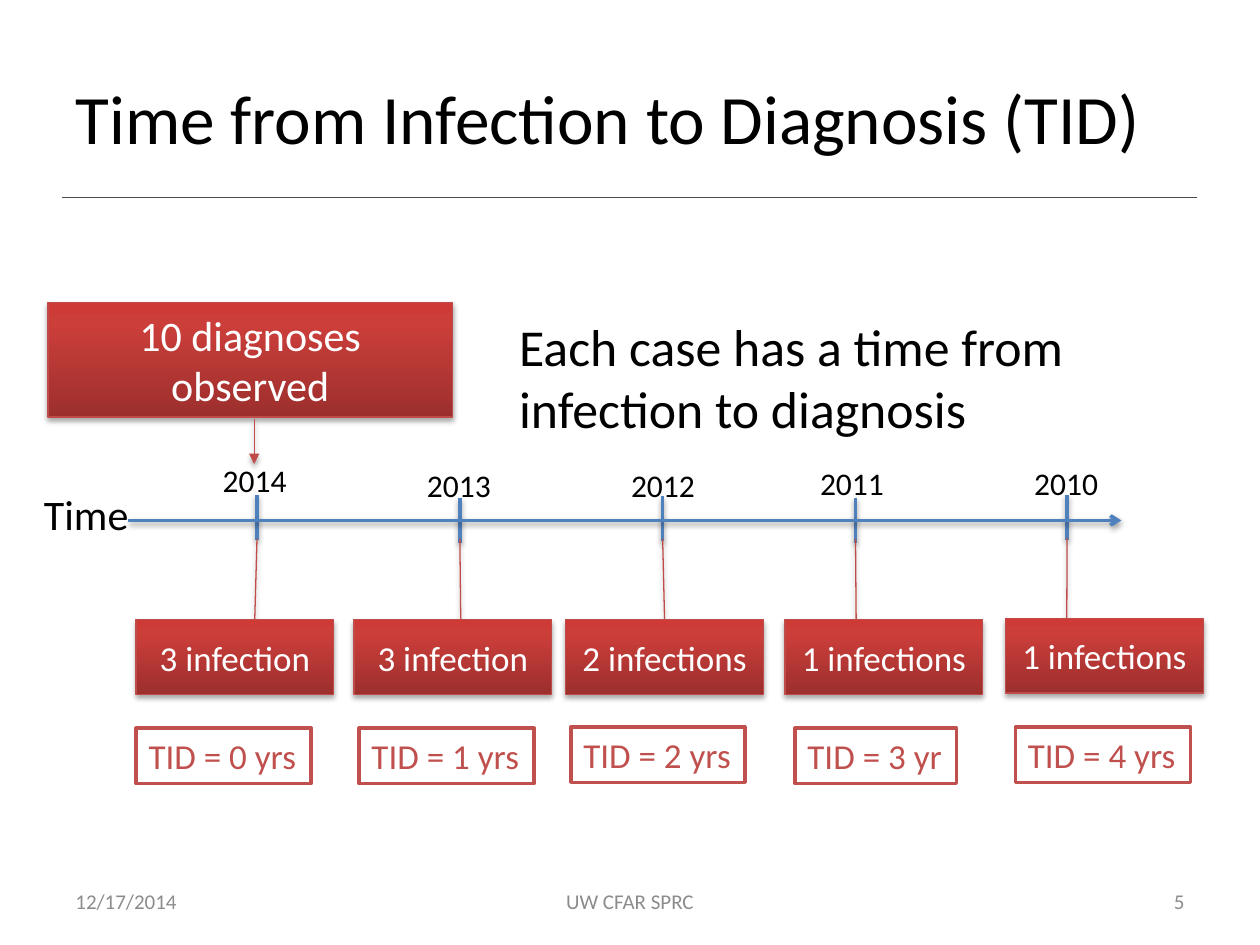
from collections import namedtuple
from copy import deepcopy

from lxml.etree import SubElement
from pptx import Presentation
from pptx.dml.color import RGBColor
from pptx.enum.shapes import MSO_CONNECTOR, MSO_SHAPE
from pptx.enum.text import MSO_ANCHOR, MSO_AUTO_SIZE, PP_ALIGN
from pptx.oxml.ns import qn
from pptx.util import Pt

FONT = "Calibri"
BLACK, WHITE, GREY = "000000", "FFFFFF", "8C8C8C"
BLUE, RED, RED_EDGE = "4F81BD", "C0504D", "BF4C48"
RED_GRADIENT = [(0, "9C2F2D"), (0.8, "CB3E3A"), (1, "CE3B37")]

Box = namedtuple("Box", "left top width height")
# Positions are offsets from the box of the region each part belongs to
Year = namedtuple("Year", "label label_left label_top tick_x tick_top "
                          "infections card_left card_top leader_start "
                          "tid tid_left tid_top tid_width")
YEARS = [
    Year("2014", 102.2, 0, 128.9, 23, "3 infection", 0, 0.7, 0.6,
         "TID = 0 yrs", 0, 0.7, 100),
    Year("2013", 218.9, 2.9, 244.8, 24.5, "3 infection", 124.5, 0.7, 0.54,
         "TID = 1 yrs", 127.4, 0.7, 100),
    Year("2012", 335.5, 2.9, 360.7, 23.7, "2 infections", 245.5, 0.7, 0.5,
         "TID = 2 yrs", 248.4, 0, 99.4),
    Year("2011", 443.5, 1.4, 470.9, 24.5, "1 infections", 370.8, 0.7, 0.36,
         "TID = 3 yr", 376.5, 0.7, 92.2),
    Year("2010", 565.9, 1.4, 591.8, 23, "1 infections", 496.8, 0, 0.31,
         "TID = 4 yrs", 502.5, 0, 100),
]


def color(hex_string):
    return RGBColor.from_string(hex_string)


def write(part, text, size, ink, align=PP_ALIGN.LEFT, anchor=MSO_ANCHOR.TOP, wrap=True):
    frame = part.text_frame
    frame.text = text
    frame.word_wrap = wrap
    frame.auto_size = MSO_AUTO_SIZE.NONE
    frame.vertical_anchor = anchor
    paragraph = frame.paragraphs[0]
    paragraph.alignment = align
    font = paragraph.runs[0].font
    font.name, font.size = FONT, Pt(size)
    font.color.rgb = color(ink)


def add_text(slide, box, text, size, ink, **layout):
    label = slide.shapes.add_textbox(*map(Pt, box))
    write(label, text, size, ink, **layout)


def add_shadow(part, opacity, distance):
    properties = part._element.spPr
    effects = properties.find(qn("a:effectLst"))
    if effects is None:
        effects = SubElement(properties, qn("a:effectLst"))
    shadow = SubElement(effects, qn("a:outerShdw"), blurRad=str(Pt(3.1)),
                        dist=str(Pt(distance)), dir="5400000", rotWithShape="0")
    black = SubElement(shadow, qn("a:srgbClr"), val=BLACK)
    SubElement(black, qn("a:alpha"), val=str(opacity * 1000))


def add_arrowhead(part, kind):
    SubElement(part.line._get_or_add_ln(), qn("a:tailEnd"), type=kind)


def add_line(slide, x1, y1, x2, y2, ink, width, head=None, shadow=True):
    line = slide.shapes.add_connector(MSO_CONNECTOR.STRAIGHT, *map(Pt, (x1, y1, x2, y2)))
    line.line.color.rgb = color(ink)
    line.line.width = Pt(width)
    if head:
        add_arrowhead(line, head)
    if shadow:
        add_shadow(line, 38, 1.6)
    else:
        SubElement(line._element.spPr, qn("a:effectLst"))


def add_callout(slide, box, text, size, leader, head=None):
    """Red gradient box; leader holds y and x of its start and end."""
    card = slide.shapes.add_shape(MSO_SHAPE.LINE_CALLOUT_1, *map(Pt, box))
    for index, fraction in enumerate(leader):
        card.adjustments[index] = fraction
    card.fill.gradient()
    card.fill.gradient_angle = 90
    stops = card._element.spPr.find(".//" + qn("a:gsLst"))
    stops.append(deepcopy(stops[-1]))
    for stop, (position, shade) in zip(card.fill.gradient_stops, RED_GRADIENT):
        stop.position = position
        stop.color.rgb = color(shade)
    card.line.color.rgb = color(RED_EDGE)
    card.line.width = Pt(0.75)
    if head:
        add_arrowhead(card, head)
    card.shadow.inherit = False
    add_shadow(card, 35, 1.8)
    write(card, text, size, WHITE, PP_ALIGN.CENTER, MSO_ANCHOR.MIDDLE)


def place(placeholder, box):
    placeholder.left, placeholder.top, placeholder.width, placeholder.height = map(Pt, box)


def fill_heading(slide, box):
    place(slide.shapes.title, box)
    write(slide.shapes.title, "Time from Infection to Diagnosis (TID)", 39.6, BLACK,
          anchor=MSO_ANCHOR.MIDDLE)
    rule_y = box.top + 91.4
    add_line(slide, box.left - 0.7, rule_y, box.left + box.width, rule_y,
             "4B4B4B", 0.75, shadow=False)


def fill_statement(slide, box):
    statement = slide.placeholders[1]
    place(statement, box)
    write(statement, "Each case has a time from infection to diagnosis", 29.6, BLACK)
    # Plain paragraph without bullet or hanging indent
    properties = statement.text_frame.paragraphs[0]._p.get_or_add_pPr()
    properties.set("marL", "0")
    properties.set("indent", "0")
    SubElement(properties, qn("a:buNone"))


def add_footer(slide, box):
    parts = [("12/17/2014", 0, 168, PP_ALIGN.LEFT),
             ("UW CFAR SPRC", 210, 228, PP_ALIGN.CENTER),
             ("5", 480, 168, PP_ALIGN.RIGHT)]
    for text, offset, width, align in parts:
        add_text(slide, Box(box.left + offset, box.top, width, box.height), text, 12, GREY,
                 align=align, anchor=MSO_ANCHOR.MIDDLE)


def add_timeline(slide, box):
    # Year ticks
    for year in YEARS:
        x, y = box.left + year.tick_x, box.top + year.tick_top
        add_line(slide, x, y, x, y + 25.6, BLUE, 2)
    # Time axis
    axis_y = box.top + 37.4
    add_line(slide, box.left + 55.4, axis_y, box.left + box.width, axis_y, BLUE, 2, "arrow")
    add_text(slide, Box(box.left, box.top + 15.8, 63.4, 26.6), "Time", 24, BLACK, wrap=False)
    # Year labels
    for year in YEARS:
        add_text(slide, Box(box.left + year.label_left, box.top + year.label_top, 51.1, 28.8),
                 year.label, 18, BLACK, wrap=False)


def add_infections(slide, box, timeline):
    width = 113
    for year in YEARS:
        left = box.left + year.card_left
        leader_end = (timeline.left + year.tick_x - left) / width
        add_callout(slide, Box(left, box.top + year.card_top, width, box.height - 0.7),
                    year.infections, 20, (0, year.leader_start, -1.09, leader_end))


def add_tid_labels(slide, box):
    for year in YEARS:
        position = Box(box.left + year.tid_left, box.top + year.tid_top,
                       year.tid_width, box.height - 0.7)
        frame = slide.shapes.add_shape(MSO_SHAPE.RECTANGLE, *map(Pt, position))
        frame.shadow.inherit = False
        frame.fill.solid()
        frame.fill.fore_color.rgb = color(WHITE)
        frame.line.color.rgb = color(RED)
        frame.line.width = Pt(2)
        write(frame, year.tid, 20, RED, wrap=False)


def main():
    deck = Presentation()
    deck.slide_width, deck.slide_height = Pt(720), Pt(540)
    slide = deck.slides.add_slide(deck.slide_layouts[1])
    timeline = Box(18, 260, 622.8, 50)

    fill_heading(slide, Box(36, 21.6, 648, 90))
    fill_statement(slide, Box(289.4, 176.4, 415.4, 69.8))
    add_footer(slide, Box(36, 500.4, 648, 28.8))
    add_timeline(slide, timeline)
    add_callout(slide, Box(27.4, 172.8, 231.1, 65.5), "10 diagnoses observed", 24,
                (1.02, 0.51, 1.41, 0.51), "triangle")
    add_infections(slide, Box(77.8, 353.5, 609.8, 43.2), timeline)
    add_tid_labels(slide, Box(77.8, 415.4, 602.6, 32.4))
    deck.save("out.pptx")


if __name__ == "__main__":
    main()
